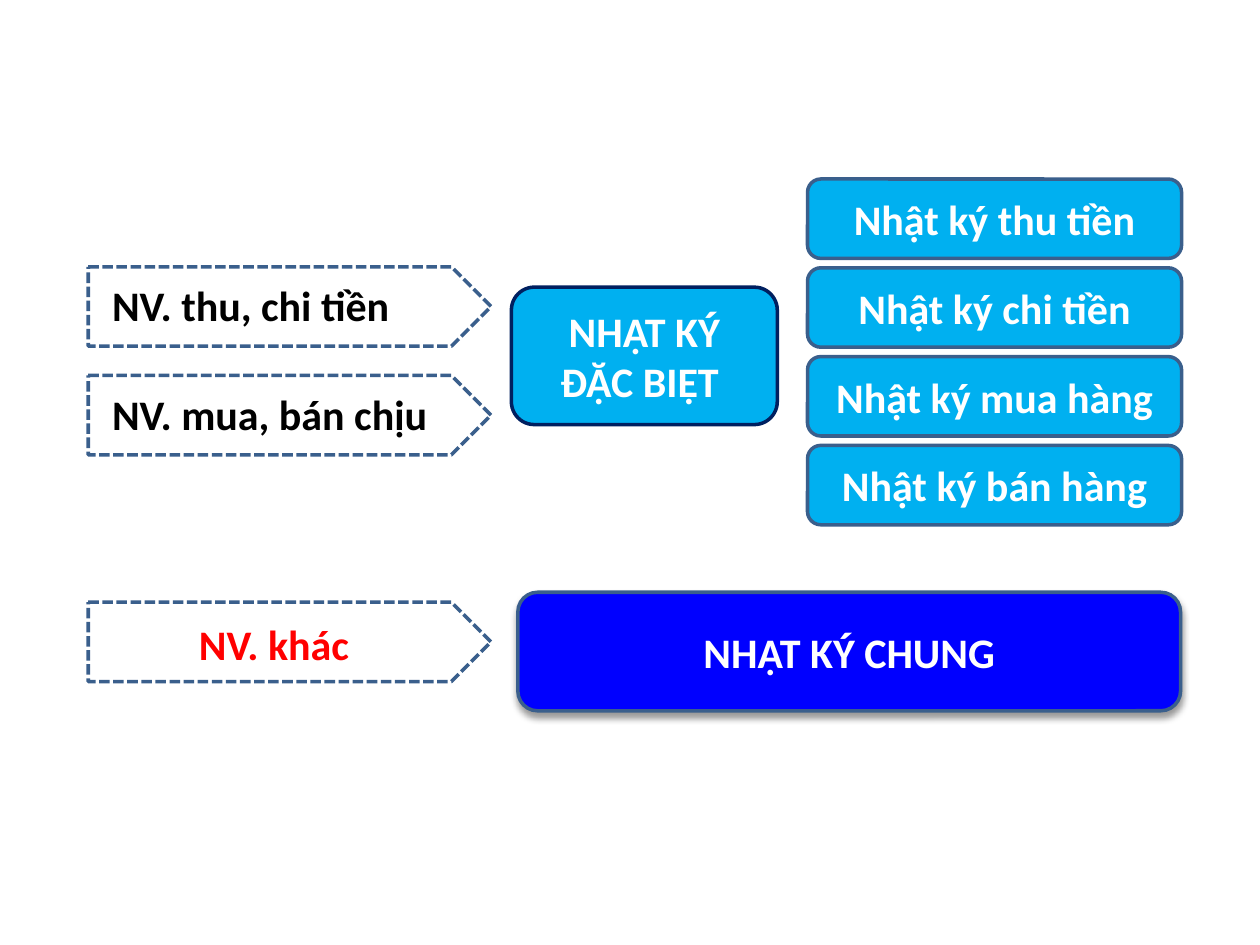
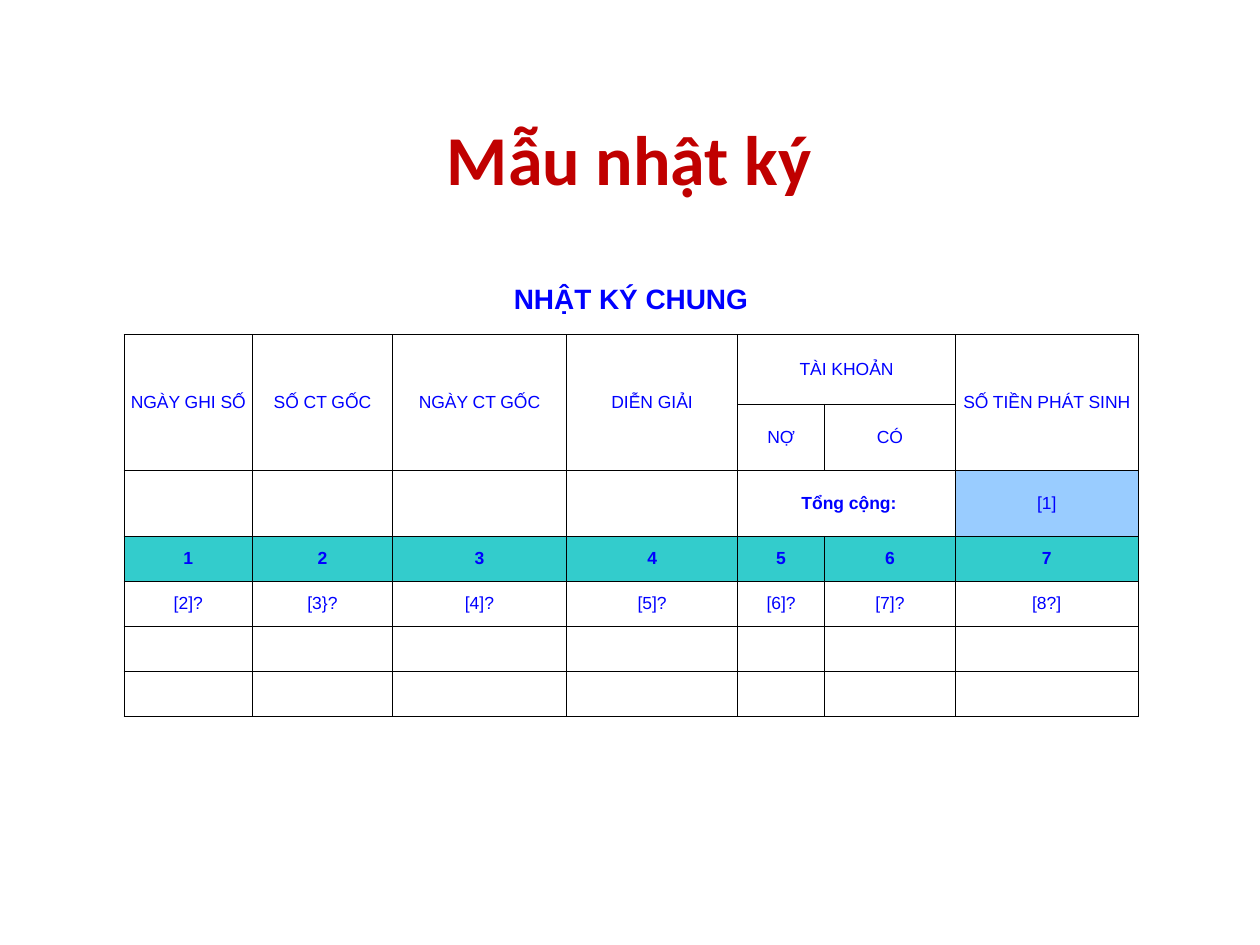
import pptx
import pptx.dml.color
import pptx.enum.dml
import pptx.enum.shapes
import pptx.enum.text
import pptx.oxml
import pptx.oxml.ns
import pptx.util
from pptx.util import Cm, Pt

RGBColor = pptx.dml.color.RGBColor
MSO_SHAPE = pptx.enum.shapes.MSO_SHAPE
PP_ALIGN = pptx.enum.text.PP_ALIGN
MSO_ANCHOR = pptx.enum.text.MSO_ANCHOR

BLACK = RGBColor(0x00, 0x00, 0x00)
WHITE = RGBColor(0xFF, 0xFF, 0xFF)
RED = RGBColor(0xFF, 0x00, 0x00)
TITLE_RED = RGBColor(0xC0, 0x00, 0x00)
BLUE = RGBColor(0x00, 0x00, 0xFF)
SKY = RGBColor(0x00, 0xB0, 0xF0)
NAVY = RGBColor(0x00, 0x20, 0x60)
OUTLINE = RGBColor(0x3A, 0x5F, 0x8C)
TEAL = RGBColor(0x33, 0xCC, 0xCC)
PALE_BLUE = RGBColor(0x99, 0xCC, 0xFF)

BODY_FONT = "Calibri"
TABLE_FONT = "Arial"
NAMESPACE = pptx.oxml.ns.nsdecls("a")

COLUMN_WIDTHS = [2.59, 2.82, 3.51, 3.45, 1.75, 2.64, 3.68]
ROW_HEIGHTS = [1.42, 1.4, 1.33, 1.33] + [0.91] * 4
JOURNAL_ROWS = [
    ["NHẬT KÝ CHUNG"],
    ["NGÀY GHI SỐ", "SỐ CT GỐC", "NGÀY CT GỐC", "DIỄN GIẢI", "TÀI KHOẢN", "", "SỐ TIỀN PHÁT SINH"],
    ["", "", "", "", "NỢ", "CÓ", ""],
    ["", "", "", "", " Tổng cộng:", "", "[1]"],
    ["1", "2", "3", "4", "5", "6", "7"],
    ["[2]?", "[3}?", "[4]?", "[5]?", "[6]?", "[7]?", "[8?]"],
    [],
    [],
]
TITLE_ROW, TOTAL_ROW, NUMBER_ROW = 0, 3, 4
ACCOUNT_COLUMN, AMOUNT_COLUMN = 4, 6


def style_paragraph(paragraph, size, color, bold=True, name=BODY_FONT, alignment=PP_ALIGN.CENTER):
    paragraph.alignment = alignment
    font = paragraph.font
    font.name = name
    font.size = Pt(size)
    font.bold = bold
    font.color.rgb = color


def add_outlined_shape(slide, kind, left, top, width, height, line_color=OUTLINE):
    shape = slide.shapes.add_shape(kind, Cm(left), Cm(top), Cm(width), Cm(height))
    shape.shadow.inherit = False
    shape.line.color.rgb = line_color
    shape.line.width = Pt(2)
    return shape


def add_journal_box(slide, text, left, top, width, height, fill=SKY, line_color=OUTLINE):
    box = add_outlined_shape(slide, MSO_SHAPE.ROUNDED_RECTANGLE, left, top, width, height, line_color)
    box.fill.solid()
    box.fill.fore_color.rgb = fill
    frame = box.text_frame
    frame.word_wrap = True
    frame.vertical_anchor = MSO_ANCHOR.MIDDLE
    frame.text = text
    style_paragraph(frame.paragraphs[0], 24, WHITE)
    return box


def add_drop_shadow(shape):
    effects = shape._element.spPr.find(pptx.oxml.ns.qn("a:effectLst"))
    effects.append(pptx.oxml.parse_xml(
        f'<a:outerShdw {NAMESPACE} blurRad="{Pt(4)}" dist="{Pt(3)}" dir="5400000" rotWithShape="0">'
        '<a:srgbClr val="000000"><a:alpha val="40000"/></a:srgbClr></a:outerShdw>'))


def add_transaction_arrow(slide, text, top, label_width, label_dx=0.23, label_dy=0.13, color=BLACK):
    left = 1.78
    arrow = add_outlined_shape(slide, MSO_SHAPE.PENTAGON, left, top, 8.12, 1.6)
    arrow.fill.background()
    arrow.line.dash_style = pptx.enum.dml.MSO_LINE.SQUARE_DOT
    label = slide.shapes.add_textbox(
        Cm(left + label_dx), Cm(top + label_dy), Cm(label_width), Cm(1.27))
    frame = label.text_frame
    frame.word_wrap = False
    frame.auto_size = pptx.enum.text.MSO_AUTO_SIZE.SHAPE_TO_FIT_TEXT
    frame.text = text
    style_paragraph(frame.paragraphs[0], 24, color, alignment=PP_ALIGN.LEFT)


def add_special_journals(slide, left, top, width, height, step):
    names = ["Nhật ký thu tiền", "Nhật ký chi tiền", "Nhật ký mua hàng", "Nhật ký bán hàng"]
    for index, name in enumerate(names):
        add_journal_box(slide, name, left, top + index * step, width, height)


def build_journal_map(slide):
    add_transaction_arrow(slide, "NV. thu, chi tiền", 5.38, 6.17)
    add_transaction_arrow(slide, "NV. mua, bán chịu", 7.57, 6.93)
    add_transaction_arrow(slide, "NV. khác", 12.14, 3.56, label_dx=1.98, label_dy=0.2, color=RED)
    general = add_journal_box(slide, "NHẬT KÝ CHUNG", 10.44, 11.94, 13.36, 2.39, fill=BLUE)
    add_drop_shadow(general)
    add_journal_box(slide, "NHẬT KÝ ĐẶC BIỆT ", 10.31, 5.79, 5.36, 2.77, line_color=NAVY)
    add_special_journals(slide, 16.28, 3.61, 7.54, 1.6, 1.79)


def add_title(slide, text, left, top, width, height):
    title = slide.shapes.add_textbox(Cm(left), Cm(top), Cm(width), Cm(height))
    frame = title.text_frame
    frame.word_wrap = True
    frame.vertical_anchor = MSO_ANCHOR.MIDDLE
    frame.margin_left = frame.margin_right = Cm(0.1)
    frame.margin_top = frame.margin_bottom = Cm(0.1)
    frame.text = text
    frame.paragraphs[0].line_spacing = 0.9
    style_paragraph(frame.paragraphs[0], 40, TITLE_RED)


def set_borders(cell, sides):
    properties = cell._tc.get_or_add_tcPr()
    for side in sides:
        properties.append(pptx.oxml.parse_xml(
            f'<a:ln{side} {NAMESPACE} w="{Pt(0.5)}"><a:solidFill>'
            f'<a:srgbClr val="{BLACK}"/></a:solidFill></a:ln{side}>'))


def cell_fill(row, column):
    if row == NUMBER_ROW:
        return TEAL
    if (row, column) == (TOTAL_ROW, AMOUNT_COLUMN):
        return PALE_BLUE
    return None


def format_cell(cell, row, column, text):
    set_borders(cell, "B" if row == TITLE_ROW else "LRTB")
    color = cell_fill(row, column)
    if color is None:
        cell.fill.background()
    else:
        cell.fill.solid()
        cell.fill.fore_color.rgb = color
    cell.margin_left = cell.margin_right = cell.margin_top = cell.margin_bottom = 0
    cell.vertical_anchor = MSO_ANCHOR.MIDDLE
    cell.text = text
    bold = row in (TITLE_ROW, NUMBER_ROW) or (row, column) == (TOTAL_ROW, ACCOUNT_COLUMN)
    size = 16 if row == TITLE_ROW else 10
    style_paragraph(cell.text_frame.paragraphs[0], size, BLUE, bold, TABLE_FONT)


def add_journal_table(slide, left, top):
    table = slide.shapes.add_table(
        len(ROW_HEIGHTS), len(COLUMN_WIDTHS), Cm(left), Cm(top),
        Cm(sum(COLUMN_WIDTHS)), Cm(sum(ROW_HEIGHTS))).table
    table.first_row = table.horz_banding = False
    for column, width in zip(table.columns, COLUMN_WIDTHS):
        column.width = Cm(width)
    for row, height in zip(table.rows, ROW_HEIGHTS):
        row.height = Cm(height)
    for row, texts in enumerate(JOURNAL_ROWS):
        for column in range(len(COLUMN_WIDTHS)):
            text = texts[column] if column < len(texts) else ""
            format_cell(table.cell(row, column), row, column, text)
    table.cell(TITLE_ROW, 0).merge(table.cell(TITLE_ROW, AMOUNT_COLUMN))
    for column in (0, 1, 2, 3, AMOUNT_COLUMN):
        table.cell(1, column).merge(table.cell(2, column))
    for row in (1, TOTAL_ROW):
        table.cell(row, ACCOUNT_COLUMN).merge(table.cell(row, ACCOUNT_COLUMN + 1))


def build_journal_template(slide):
    add_journal_table(slide, 2.5, 5.33)
    add_title(slide, "Mẫu nhật ký", 2.69, 2.03, 19.99, 2.49)


def main():
    presentation = pptx.Presentation()
    presentation.slide_width = Cm(25.4)
    presentation.slide_height = Cm(19.05)
    blank_layout = presentation.slide_layouts[6]
    for build in (build_journal_map, build_journal_template):
        build(presentation.slides.add_slide(blank_layout))
    presentation.save("out.pptx")


if __name__ == "__main__":
    main()
